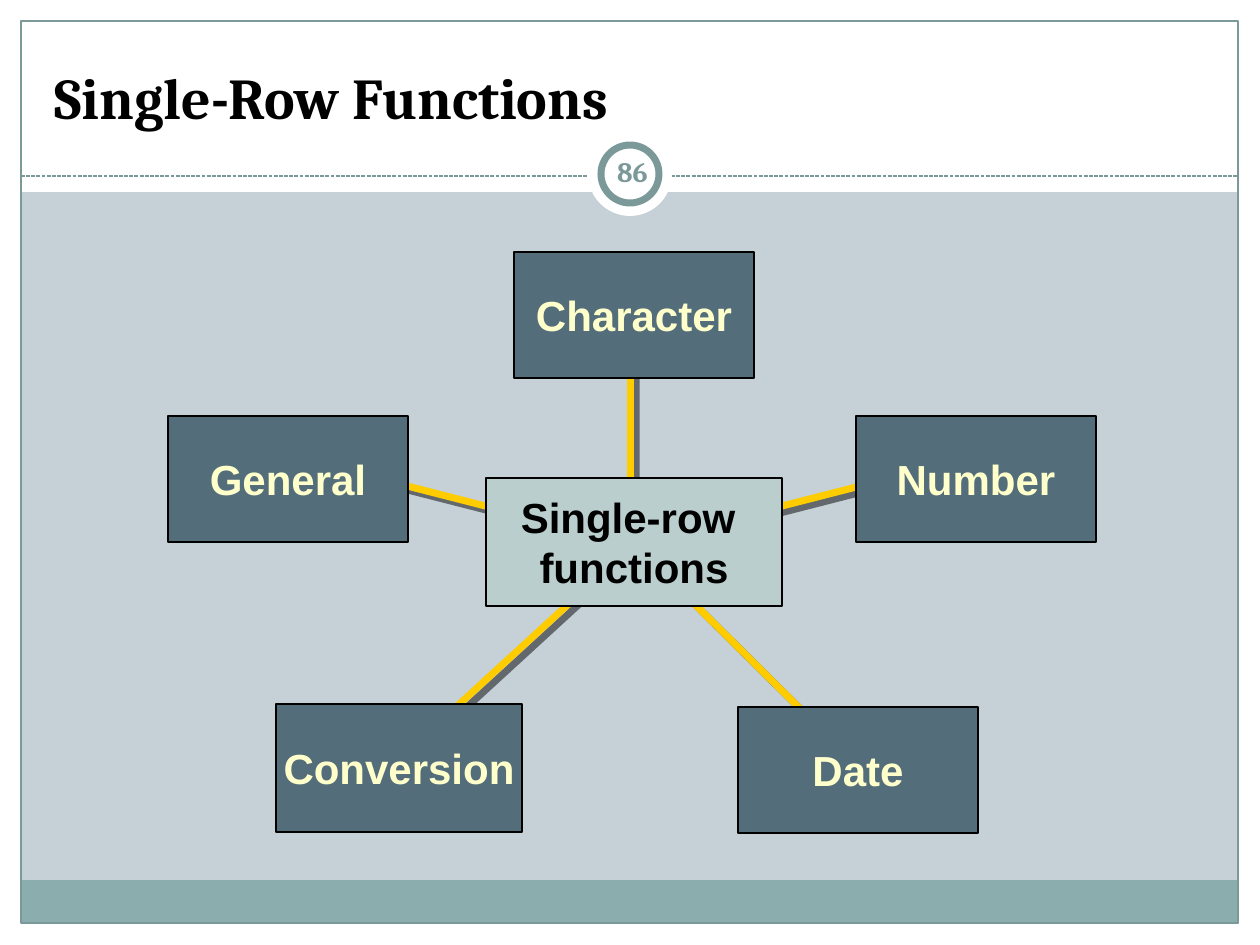
from lxml.etree import SubElement
from pptx import Presentation
from pptx.dml.color import RGBColor
from pptx.enum.dml import MSO_LINE
from pptx.enum.shapes import MSO_CONNECTOR, MSO_SHAPE
from pptx.enum.text import MSO_ANCHOR, PP_ALIGN
from pptx.oxml.ns import qn
from pptx.util import Pt

SCALE = 914400 / 126
WHITE = RGBColor(0xFF, 0xFF, 0xFF)
BLACK = RGBColor(0, 0, 0)
BACKGROUND = RGBColor(0xC5, 0xD1, 0xD7)
TEAL = RGBColor(0x8C, 0xAD, 0xAE)
DARK_TEAL = RGBColor(0x7C, 0x99, 0x9A)
SLATE = RGBColor(0x54, 0x6D, 0x7A)
PALE_TEAL = RGBColor(0xBA, 0xCE, 0xCE)
CREAM = RGBColor(0xFF, 0xFF, 0xCC)
GOLD = RGBColor(0xFF, 0xCC, 0x00)


def px(*lengths):
    return [round(length * SCALE) for length in lengths]


def write(shape, text, color, size, font, align, frame_format):
    frame = shape.text_frame
    frame.text = text
    for name, value in frame_format.items():
        setattr(frame, name, value)
    for paragraph in frame.paragraphs:
        paragraph.alignment = align
        paragraph.font.color.rgb = color
        for name, value in {"size": Pt(size), "name": font, "bold": True}.items():
            setattr(paragraph.font, name, value)


presentation = Presentation()
presentation.slide_width, presentation.slide_height = px(1260, 945)
slide = presentation.slides.add_slide(presentation.slide_layouts[5])
slide.background.fill.solid()
slide.background.fill.fore_color.rgb = BACKGROUND
shapes = slide.shapes

RECT, OVAL = MSO_SHAPE.RECTANGLE, MSO_SHAPE.OVAL
decorations = [
    (RECT, (0, 924, 1260, 21), WHITE, 0),
    (RECT, (0, 0, 1260, 192), WHITE, 0),
    (RECT, (0, 0, 21, 945), WHITE, 0),
    (RECT, (1239, 0, 21, 945), WHITE, 0),
    (RECT, (21, 880, 1217, 43), TEAL, 0),
    (RECT, (21, 21, 1217, 902), None, 0.75),
    (None, (21, 176, 1239, 176), None, 0.75),
    (OVAL, (588, 132, 84, 84), WHITE, 0),
    (OVAL, (601, 145, 58, 58), WHITE, 4),
]
for kind, box, fill, width in decorations:
    if kind is None:
        shape = shapes.add_connector(MSO_CONNECTOR.STRAIGHT, *px(*box))
        shape.line.dash_style = MSO_LINE.SQUARE_DOT
        SubElement(shape._element.spPr, qn("a:effectLst"))
    else:
        shape = shapes.add_shape(kind, *px(*box))
        shape.shadow.inherit = False
        if fill is None:
            shape.fill.background()
        else:
            shape.fill.solid()
            shape.fill.fore_color.rgb = fill
    if width:
        shape.line.color.rgb = DARK_TEAL
        shape.line.width = Pt(width)
    else:
        shape.line.fill.background()

spokes = [
    (631, 544, 631, 349),
    (634, 544, 364, 475),
    (634, 544, 911, 473),
    (634, 544, 393, 765),
    (634, 544, 864, 772),
]
for ends in spokes:
    spoke = shapes.add_connector(MSO_CONNECTOR.STRAIGHT, *px(*ends))
    spoke.line.color.rgb = GOLD
    spoke.line.width = Pt(4)
    effects = SubElement(spoke._element.spPr, qn("a:effectLst"))
    shadow = SubElement(effects, qn("a:outerShdw"), dist=str(Pt(4.2)), dir="2700000",
                        algn="ctr", rotWithShape="0")
    shadow_color = SubElement(shadow, qn("a:srgbClr"), val="000000")
    SubElement(shadow_color, qn("a:alpha"), val="50000")

title = shapes.title
title.left, title.top, title.width, title.height = px(42, 32, 1176, 105)
write(title, "Single-Row Functions", BLACK, 33, "Cambria", PP_ALIGN.LEFT,
      {"vertical_anchor": MSO_ANCHOR.BOTTOM, "word_wrap": True})
shapes._spTree.append(title._element)

boxes = [
    ("Conversion", (276, 704, 246, 128), SLATE, CREAM),
    ("Character", (514, 252, 240, 126), SLATE, CREAM),
    ("Number", (856, 416, 240, 126), SLATE, CREAM),
    ("Date", (738, 707, 240, 126), SLATE, CREAM),
    ("General", (168, 416, 240, 126), SLATE, CREAM),
    ("Single-row \nfunctions", (486, 478, 296, 128), PALE_TEAL, BLACK),
]
for text, box, fill, color in boxes:
    shape = shapes.add_shape(RECT, *px(*box))
    shape.shadow.inherit = False
    shape.fill.solid()
    shape.fill.fore_color.rgb = fill
    shape.line.color.rgb = BLACK
    shape.line.width = Pt(1)
    write(shape, text, color, 24, "Arial", PP_ALIGN.CENTER,
          {"vertical_anchor": MSO_ANCHOR.MIDDLE, "word_wrap": False})

inset = px(6)[0]
slide_number = shapes.add_textbox(*px(601, 141, 63, 61))
write(slide_number, "86", DARK_TEAL, 16, "Cambria", PP_ALIGN.CENTER,
      {"vertical_anchor": MSO_ANCHOR.MIDDLE, "word_wrap": True,
       "margin_left": inset, "margin_right": inset,
       "margin_top": inset, "margin_bottom": inset})

presentation.save("out.pptx")
